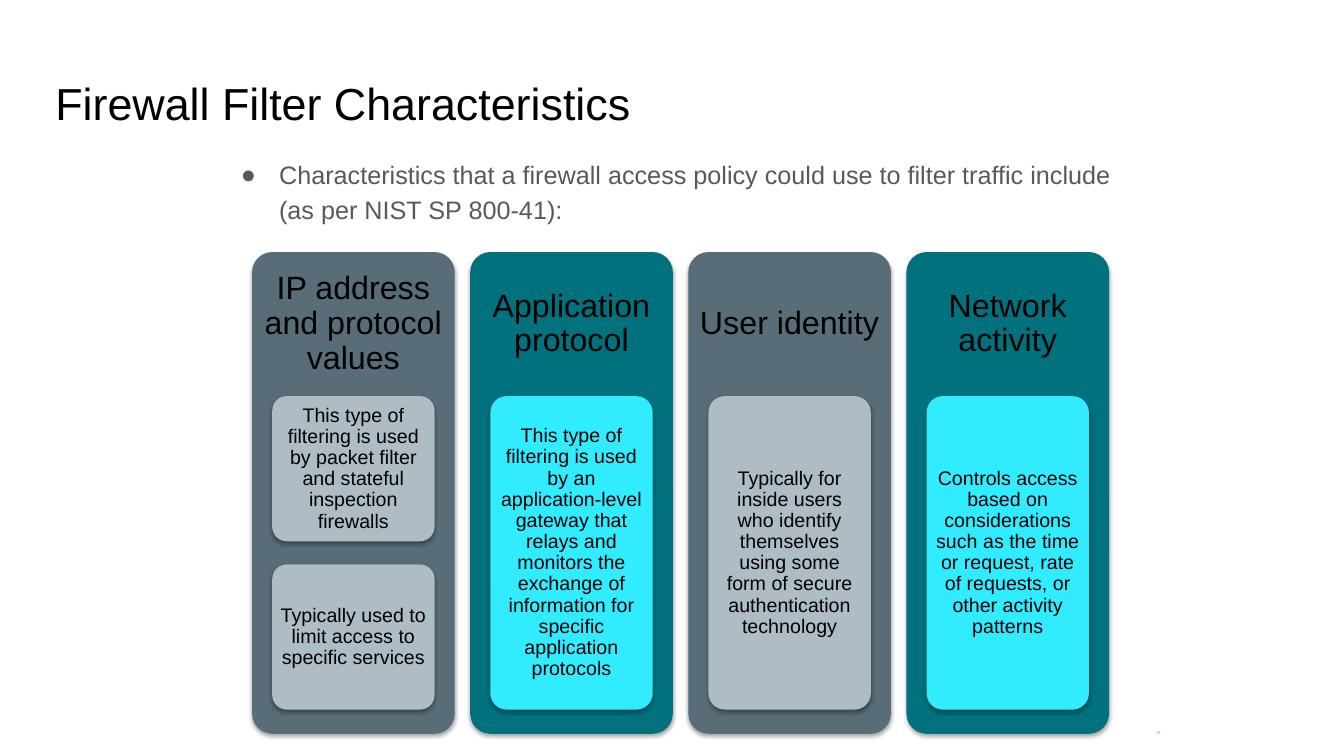
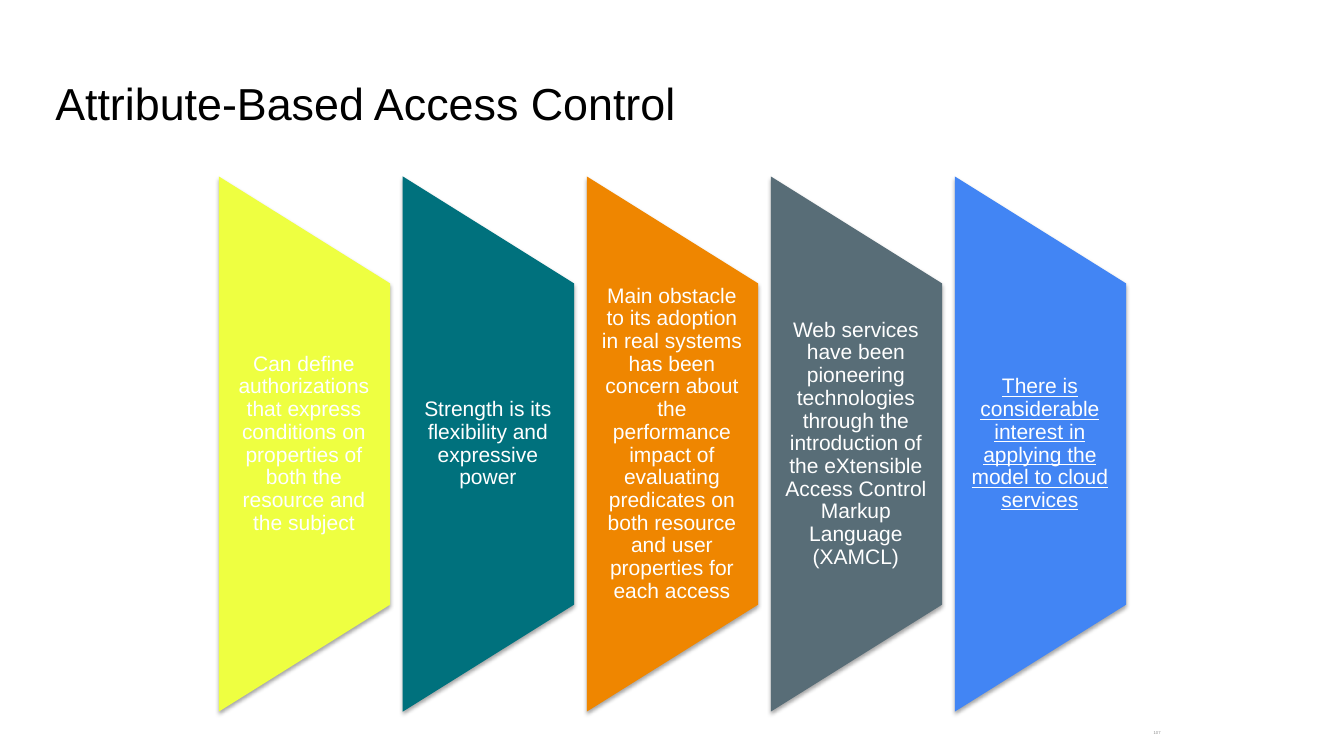
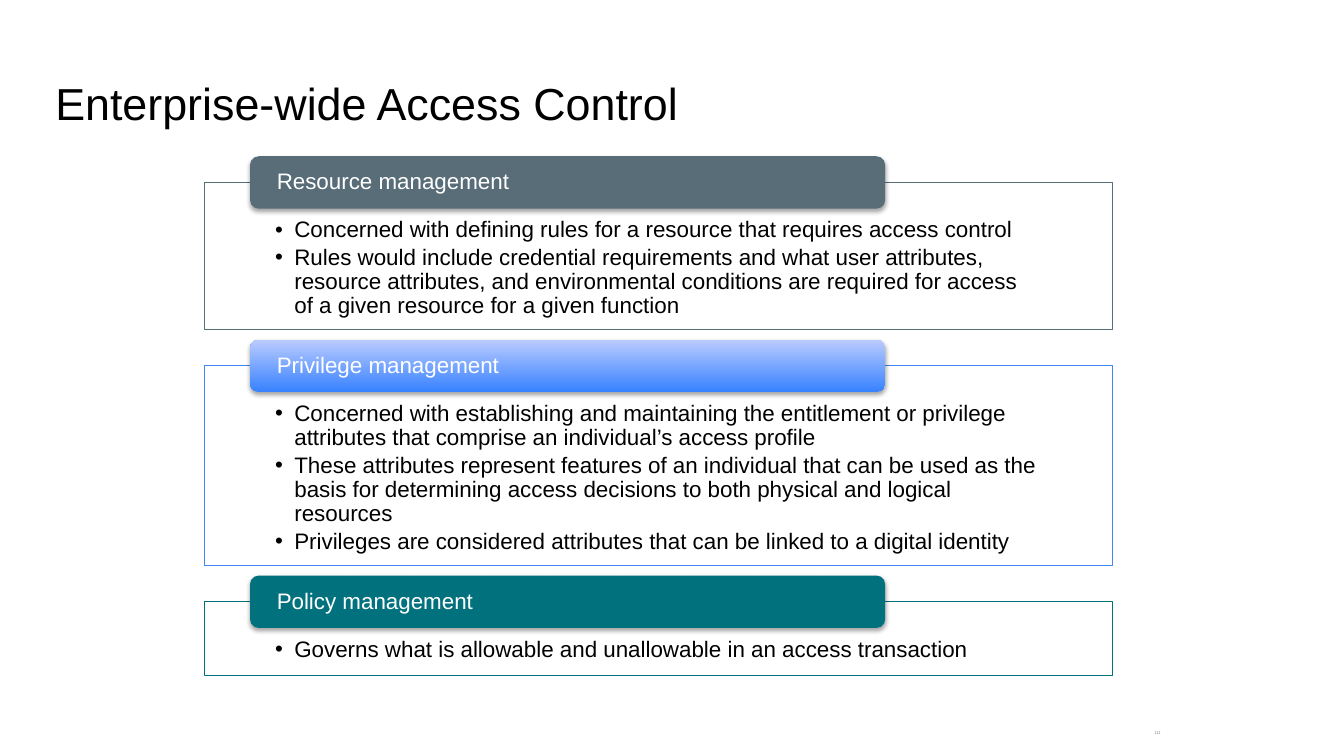
from collections import namedtuple

from lxml.etree import SubElement
from pptx import Presentation
from pptx.dml.color import RGBColor
from pptx.enum.shapes import MSO_SHAPE as Shape
from pptx.enum.text import MSO_ANCHOR as Anchor, PP_ALIGN as Align
from pptx.oxml.ns import qn
from pptx.util import Inches, Pt

Box = namedtuple("Box", "left top width height")

FONT = "Arial"
BLACK, WHITE = "000000", "FFFFFF"
BODY_GREY, NUMBER_GREY = "595959", "8C8C8C"
SLATE, PALE_SLATE = "586D77", "AEBCC4"
TEAL, CYAN = "00717D", "31EBFF"
YELLOW, ORANGE, BLUE = "EEFF41", "EF8600", "4285F4"
BLUE_GRADIENT = ("3782FF", "BBCBFF")

COLUMNS = [
    ("IP address and protocol values", SLATE, PALE_SLATE, [
        "This type of filtering is used by packet filter and stateful inspection firewalls",
        "Typically used to limit access to specific services"]),
    ("Application protocol", TEAL, CYAN, [
        "This type of filtering is used by an application-level gateway that relays and "
        "monitors the exchange of information for specific application protocols"]),
    ("User identity", SLATE, PALE_SLATE, [
        "Typically for inside users who identify themselves using some form of secure "
        "authentication technology"]),
    ("Network activity", TEAL, CYAN, [
        "Controls access based on considerations such as the time or request, rate of "
        "requests, or other activity patterns"]),
]

BLADES = [
    ("Can define authorizations that express conditions on properties of both the "
     "resource and the subject", YELLOW, False),
    ("Strength is its flexibility and expressive power", TEAL, False),
    ("Main obstacle to its adoption in real systems has been concern about the performance "
     "impact of evaluating predicates on both resource and user properties for each access",
     ORANGE, False),
    ("Web services have been pioneering technologies through the introduction of the "
     "eXtensible Access Control Markup Language (XAMCL)", SLATE, False),
    ("There is considerable interest in applying the model to cloud services", BLUE, True),
]

SECTIONS = [
    ("Resource management", SLATE, SLATE, 1.46, [
        "Concerned with defining rules for a resource that requires access control",
        "Rules would include credential requirements and what user attributes, resource "
        "attributes, and environmental conditions are required for access of a given "
        "resource for a given function"]),
    ("Privilege management", BLUE_GRADIENT, BLUE, 1.98, [
        "Concerned with establishing and maintaining the entitlement or privilege "
        "attributes that comprise an individual’s access profile",
        "These attributes represent features of an individual that can be used as the basis "
        "for determining access decisions to both physical and logical resources",
        "Privileges are considered attributes that can be linked to a digital identity"]),
    ("Policy management", TEAL, TEAL, 0.73, [
        "Governs what is allowable and unallowable in an access transaction"]),
]


def color(value):
    return RGBColor.from_string(value)


def inches(box):
    return [Inches(length) for length in box]


def add_bullet(para, char, hanging, left, tint):
    props = para._p.get_or_add_pPr()
    props.set("marL", str(Inches(left)))
    props.set("indent", str(-Inches(hanging)))
    bullet_color = SubElement(props, qn("a:buClr"))
    SubElement(bullet_color, qn("a:srgbClr"), val=tint)
    SubElement(props, qn("a:buFont"), typeface=FONT)
    SubElement(props, qn("a:buChar"), char=char)


def write(shape, texts, size, tint, insets=(0.1, 0.1, 0.1, 0.1), align=Align.LEFT,
          anchor=Anchor.MIDDLE, spacing=0.9, after=0, bullet=None, underline=False):
    """Fill a shape with paragraphs; bullet is (character, hanging indent, left indent)."""
    frame = shape.text_frame
    frame.word_wrap = True
    frame.vertical_anchor = anchor
    (frame.margin_left, frame.margin_top,
     frame.margin_right, frame.margin_bottom) = inches(insets)
    for index, text in enumerate(texts):
        para = frame.add_paragraph() if index else frame.paragraphs[0]
        para.text = text
        if bullet:
            add_bullet(para, *bullet, tint)
        para.alignment = align
        para.line_spacing = spacing
        para.space_after = Pt(after)
        para.font.name, para.font.size = FONT, Pt(size)
        para.font.color.rgb = color(tint)
        if underline:
            para.font.underline = True


def add_text(page, box, *args, **style):
    write(page.shapes.add_textbox(*inches(box)), *args, **style)


def add_raised(page, kind, box, fill):
    """Add a borderless shape with a soft shadow; a pair of colours makes a gradient."""
    shape = page.shapes.add_shape(kind, *inches(box))
    if isinstance(fill, tuple):
        shape.fill.gradient()
        shape.fill.gradient_angle = 90
        for stop, tint in zip(shape.fill.gradient_stops, fill):
            stop.color.rgb = color(tint)
    else:
        shape.fill.solid()
        shape.fill.fore_color.rgb = color(fill)
    shape.line.fill.background()
    shape.shadow.inherit = False
    effects = shape._element.spPr.find(qn("a:effectLst"))
    shadow = SubElement(effects, qn("a:outerShdw"), blurRad=str(Pt(3.1)), dist=str(Pt(1.8)),
                        dir="5400000", rotWithShape="0")
    tint = SubElement(shadow, qn("a:srgbClr"), val=BLACK)
    SubElement(tint, qn("a:alpha"), val="35000")
    return shape


def add_page(deck, title, number):
    page = deck.slides.add_slide(deck.slide_layouts[6])
    add_text(page, Box(0.45, 0.65, 12.42, 0.84), [title], 32, BLACK,
             anchor=Anchor.TOP, spacing=1)
    add_text(page, Box(10.93, 7.2, 0.68, 0.15), [number], 3, NUMBER_GREY,
             insets=(0.1, 0.05, 0.1, 0.05), align=Align.RIGHT, spacing=0.8)
    return page


def add_column(page, box, heading, fill, card_fill, cards):
    column = add_raised(page, Shape.ROUNDED_RECTANGLE, box, fill)
    column.adjustments[0] = 0.1
    heading_height, card_area, gap, side = 1.43, 3.11, 0.23, 0.2
    add_text(page, box._replace(height=heading_height), [heading], 23, BLACK,
             align=Align.CENTER)
    height = (card_area - gap * (len(cards) - 1)) / len(cards)
    for index, text in enumerate(cards):
        top = box.top + heading_height + index * (height + gap)
        card = add_raised(page, Shape.ROUNDED_RECTANGLE,
                          Box(box.left + side, top, box.width - 2 * side, height), card_fill)
        card.adjustments[0] = 0.1
        write(card, [text], 14, BLACK, insets=(0.04, 0.03, 0.04, 0.03), align=Align.CENTER)


def add_blade(page, box, text, fill, underline):
    """Add a trapezoid turned on its side, with upright text in its middle."""
    turned = Box(box.left + (box.width - box.height) / 2,
                 box.top + (box.height - box.width) / 2, box.height, box.width)
    blade = add_raised(page, Shape.FLOWCHART_MANUAL_OPERATION, turned, fill)
    blade.rotation = 270
    middle = box._replace(top=box.top + 0.2 * box.height, height=0.6 * box.height)
    add_text(page, middle, [text], 15, WHITE, insets=(0.1, 0, 0.11, 0),
             align=Align.CENTER, underline=underline)


def add_section(page, box, heading, tab_fill, border, points):
    """Add a bordered panel of points with a heading tab across its top edge."""
    panel = page.shapes.add_shape(Shape.RECTANGLE, *inches(box))
    panel.shadow.inherit = False
    panel.fill.solid()
    panel.fill.fore_color.rgb = color(WHITE)
    tint = panel._element.spPr.find(qn("a:solidFill"))[0]
    SubElement(tint, qn("a:alpha"), val="90000")
    panel.line.color.rgb = color(border)
    panel.line.width = Pt(0.75)
    write(panel, points, 16, BLACK, insets=(0.7, 0.36, 0.7, 0.12), anchor=Anchor.TOP,
          after=2.4, bullet=("•", 0.19, 0.19))
    tab_height = 0.52
    tab = add_raised(page, Shape.ROUNDED_RECTANGLE,
                     Box(box.left + 0.45, box.top - tab_height / 2, 0.7 * box.width,
                         tab_height), tab_fill)
    write(tab, [heading], 16, WHITE, insets=(0.24, 0, 0.24, 0))


def spread(area, count, width):
    """Split an area into boxes of one width with equal gaps."""
    step = (area.width - width) / (count - 1)
    return [area._replace(left=area.left + index * step, width=width)
            for index in range(count)]


def build_filter_page(deck):
    page = add_page(deck, "Firewall Filter Characteristics", "74")
    add_text(page, Box(2.17, 1.44, 9, 1),
             ["Characteristics that a firewall access policy could use to filter traffic "
              "include (as per NIST SP 800-41):"], 18, BODY_GREY,
             anchor=Anchor.TOP, spacing=1.15, bullet=("●", 0.38, 0.5))
    boxes = spread(Box(2.5, 2.5, 8.5, 4.78), len(COLUMNS), 2.01)
    for box, column in zip(boxes, COLUMNS):
        add_column(page, box, *column)


def build_attribute_page(deck):
    page = add_page(deck, "Attribute-Based Access Control", "107")
    boxes = spread(Box(2.17, 1.75, 9, 5.31), len(BLADES), 1.7)
    for box, blade in zip(boxes, BLADES):
        add_blade(page, box, *blade)


def build_enterprise_page(deck):
    page = add_page(deck, "Enterprise-wide Access Control", "111")
    top, gap = 1.81, 0.36
    for heading, tab_fill, border, height, points in SECTIONS:
        add_section(page, Box(2.03, top, 9, height), heading, tab_fill, border, points)
        top += height + gap


def main():
    deck = Presentation()
    deck.slide_width, deck.slide_height = Inches(13.33), Inches(7.5)
    build_filter_page(deck)
    build_attribute_page(deck)
    build_enterprise_page(deck)
    deck.save("out.pptx")


if __name__ == "__main__":
    main()
